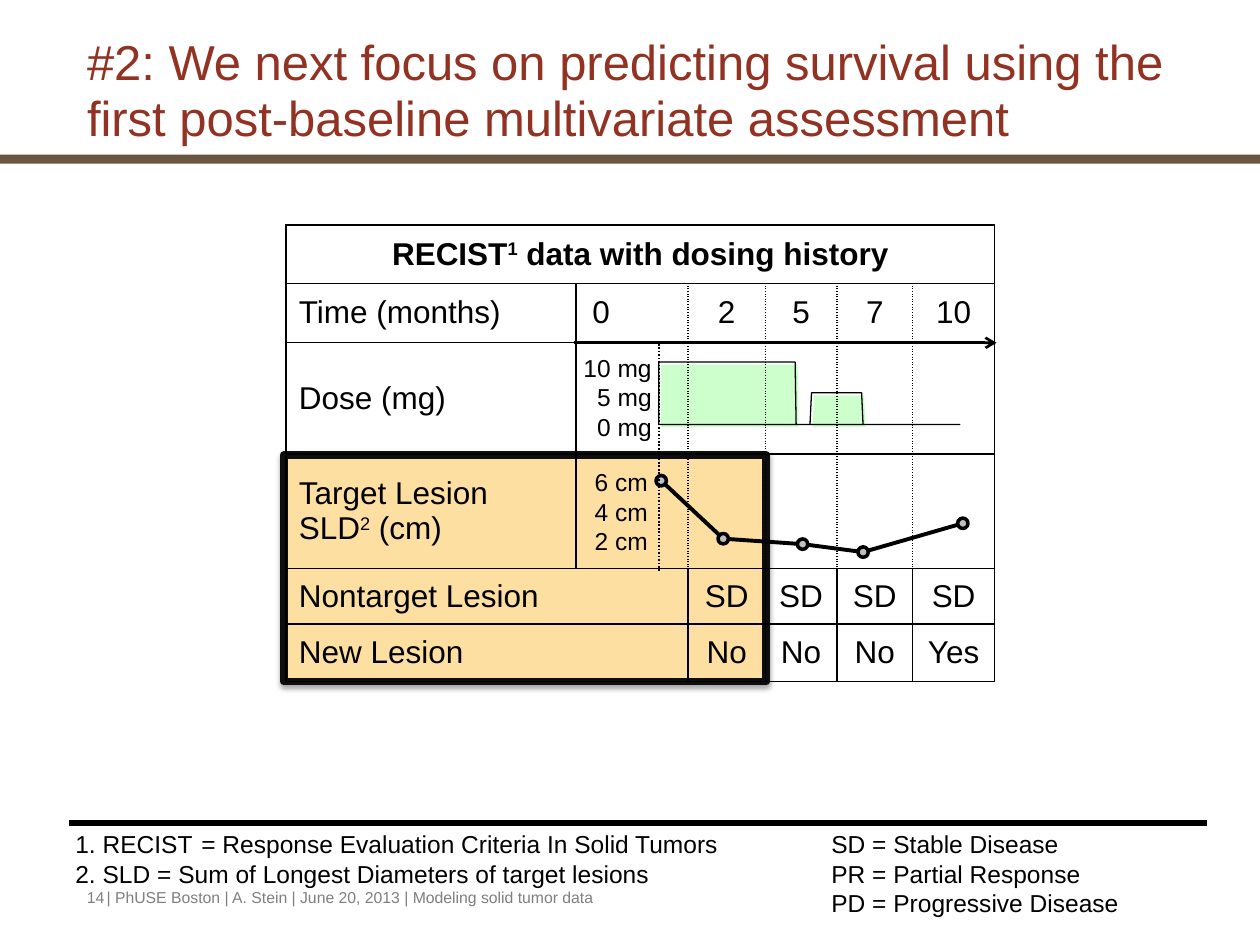
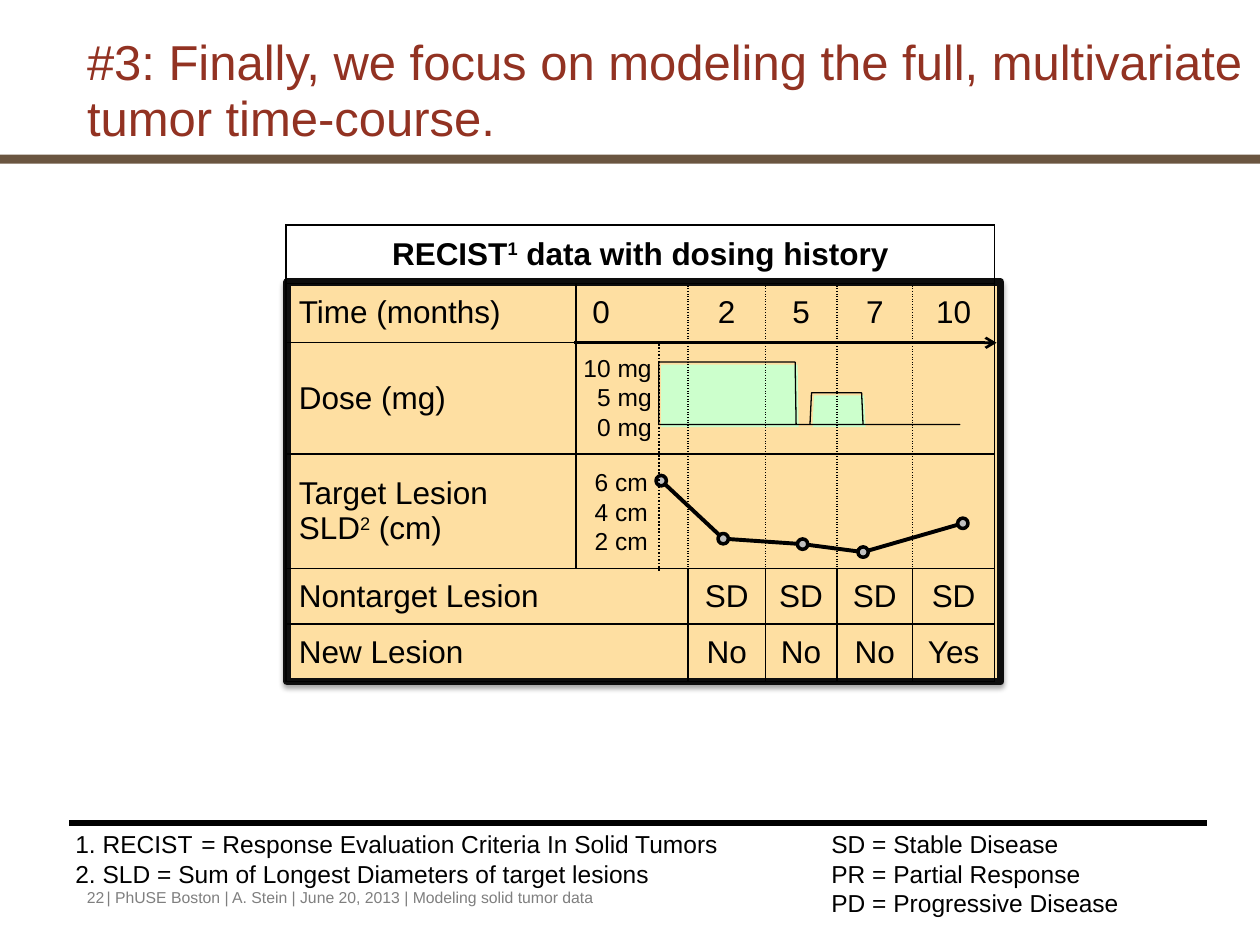
from lxml import etree
from pptx import Presentation
from pptx import util as u
from pptx.dml.color import RGBColor
from pptx.enum import dml, shapes, text
from pptx.oxml.ns import qn

FONT = "Arial"
COLORS = {
    "title": "923222", "band": "6A5540", "highlight": "FEDFA2", "frame": "0D0D0D",
    "dose": "CCFFCC", "marker": "BFBFBF", "footer": "7F7F7F", "black": "000000",
}
TITLE_ONLY = 5
FOOTER = "| PhUSE Boston | A. Stein | June 20, 2013 | Modeling solid tumor data"
FOOTNOTES = (
    "1. RECIST\t= Response Evaluation Criteria In Solid Tumors\tSD = Stable Disease",
    "2. SLD = Sum of Longest Diameters of target lesions\tPR = Partial Response",
    "\t\tPD = Progressive Disease",
)
FOOTNOTE_TABS = (2.54, 15.24)

TABLE_LEFT, TABLE_TOP = 5.77, 4.54
COLUMN_WIDTHS = (5.84, 2.26, 1.56, 1.44, 1.53, 1.65)
ROW_HEIGHTS = (1.18, 1.18, 2.25, 2.31, 1.12, 1.16)
# Every second part of a tuple is superscript.
TABLE_ROWS = (
    (("RECIST", "1", " data with dosing history"),),
    ("Time (months)", "0", "2", "5", "7", "10"),
    ("Dose (mg)",),
    (("Target Lesion SLD", "2", " (cm)"),),
    ("Nontarget Lesion", "", "SD", "SD", "SD", "SD"),
    ("New Lesion", "", "No", "No", "No", "Yes"),
)
CHART_ROWS = (1, 2, 3)

AXIS_X = 13.28
DOSE_TOP, DOSE_HALF, DOSE_BASE = 7.3, 7.92, 8.56
DOSE_STEPS = (
    (AXIS_X, DOSE_TOP), (16.03, DOSE_TOP), (16.05, DOSE_BASE), (16.33, DOSE_BASE),
    (16.36, DOSE_HALF), (17.37, DOSE_HALF), (17.4, DOSE_BASE), (19.35, DOSE_BASE),
    (AXIS_X, DOSE_BASE), (AXIS_X, DOSE_TOP),
)
LESION_SIZES = ((13.33, 9.69), (14.58, 10.86), (16.18, 10.97), (17.4, 11.13), (19.41, 10.55))
MARKER_SIZE = 0.21

SLIDES = (
    ("#2: We next focus on predicting survival using the first post-baseline "
     "multivariate assessment", "14", (5.72, 9.17, 9.73, 4.57)),
    ("#3: Finally, we focus on modeling the full, multivariate tumor time-course.",
     "22", (5.79, 5.69, 14.38, 8.05)),
)


def rgb(name):
    return RGBColor.from_string(COLORS[name])


def cm(*lengths):
    return [u.Cm(length) for length in lengths]


def style_font(paragraph, size, color="black", bold=False):
    font = paragraph.font
    font.name, font.size, font.bold = FONT, u.Pt(size), bold
    font.color.rgb = rgb(color)


def style_shape(shape, fill=None, line=None, width=0):
    shape.shadow.inherit = False
    if fill:
        shape.fill.solid()
        shape.fill.fore_color.rgb = rgb(fill)
    else:
        shape.fill.background()
    if line:
        shape.line.color.rgb = rgb(line)
        shape.line.width = u.Pt(width)
    else:
        shape.line.fill.background()


def add_preset(slide, kind, box, **style):
    shape = slide.shapes.add_shape(kind, *cm(*box))
    style_shape(shape, **style)
    return shape


def add_outline(slide, points, offset=0, **style):
    corners = [cm(x + offset, y + offset) for x, y in points]
    builder = slide.shapes.build_freeform(*corners[0])
    builder.add_line_segments(corners[1:], close=False)
    style_shape(builder.convert_to_shape(), **style)


def add_line(slide, start, end, width, dotted=False, arrow=False):
    connector = slide.shapes.add_connector(
        shapes.MSO_CONNECTOR.STRAIGHT, *cm(*start, *end))
    connector.line.color.rgb = rgb("black")
    connector.line.width = u.Pt(width)
    if dotted:
        connector.line.dash_style = dml.MSO_LINE.ROUND_DOT
    properties = connector._element.spPr
    if arrow:
        etree.SubElement(properties.find(qn("a:ln")), qn("a:tailEnd"), type="arrow")
    etree.SubElement(properties, qn("a:effectLst"))


def add_text(slide, box, lines, size, color="black", align=None, wrap=True, tabs=()):
    frame = slide.shapes.add_textbox(*cm(*box)).text_frame
    frame.word_wrap = wrap
    for index, line in enumerate(lines):
        paragraph = frame.paragraphs[0] if index == 0 else frame.add_paragraph()
        paragraph.text = line
        paragraph.alignment = align
        if tabs:
            tab_list = etree.SubElement(paragraph._p.get_or_add_pPr(), qn("a:tabLst"))
            for position in cm(*tabs):
                etree.SubElement(tab_list, qn("a:tab"), pos=str(position), algn="l")
        style_font(paragraph, size, color)


def add_title(slide, title):
    shape = slide.shapes.title
    shape.left, shape.top, shape.width, shape.height = cm(1.5, 1.7, 23.9, 1.4)
    frame = shape.text_frame
    frame.text = title
    frame.word_wrap = True
    frame.auto_size = text.MSO_AUTO_SIZE.NONE
    frame.vertical_anchor = text.MSO_ANCHOR.BOTTOM
    paragraph = frame.paragraphs[0]
    paragraph.alignment = text.PP_ALIGN.LEFT
    paragraph.line_spacing = 0.95
    style_font(paragraph, 28, "title")


def add_highlight(slide, box):
    shape = add_preset(slide, shapes.MSO_SHAPE.RECTANGLE, box,
                       fill="highlight", line="frame", width=4.5)
    effects = shape._element.spPr.find(qn("a:effectLst"))
    shadow = etree.SubElement(effects, qn("a:outerShdw"), blurRad=str(u.Pt(3.1)),
                              dist=str(u.Pt(1.8)), dir="5400000", rotWithShape="0")
    color = etree.SubElement(shadow, qn("a:srgbClr"), val=COLORS["black"])
    etree.SubElement(color, qn("a:alpha"), val="35000")


def set_borders(cell, dotted_sides):
    properties = cell._tc.get_or_add_tcPr()
    for side in "LRTB":
        line = etree.SubElement(properties, qn(f"a:ln{side}"), w=str(u.Pt(1)))
        fill = etree.SubElement(line, qn("a:solidFill"))
        etree.SubElement(fill, qn("a:srgbClr"), val=COLORS["black"])
        dash = "sysDot" if side in dotted_sides else "solid"
        etree.SubElement(line, qn("a:prstDash"), val=dash)


def fill_cell(cell, content, align, bold):
    paragraph = cell.text_frame.paragraphs[0]
    parts = (content,) if isinstance(content, str) else content
    for index, part in enumerate(parts):
        run = paragraph.add_run()
        run.text = part
        if index % 2:
            run._r.get_or_add_rPr().set("baseline", "30000")
    paragraph.alignment = align
    style_font(paragraph, 18, bold=bold)
    cell.vertical_anchor = text.MSO_ANCHOR.MIDDLE


def add_recist_table(slide):
    last = len(COLUMN_WIDTHS) - 1
    frame = slide.shapes.add_table(
        len(ROW_HEIGHTS), len(COLUMN_WIDTHS),
        *cm(TABLE_LEFT, TABLE_TOP, sum(COLUMN_WIDTHS), sum(ROW_HEIGHTS)))
    table = frame.table
    table.first_row = table.horz_banding = False
    for column, width in zip(table.columns, cm(*COLUMN_WIDTHS)):
        column.width = width
    for row, height in zip(table.rows, cm(*ROW_HEIGHTS)):
        row.height = height
    for row in range(len(ROW_HEIGHTS)):
        for column in range(last + 1):
            cell = table.cell(row, column)
            dotted = ""
            if row in CHART_ROWS:
                dotted = ("L" if column > 1 else "") + ("R" if 0 < column < last else "")
            set_borders(cell, dotted)
            cell.fill.background()
    table.cell(0, 0).merge(table.cell(0, last))
    for row in (4, 5):
        table.cell(row, 0).merge(table.cell(row, 1))
    for row, contents in enumerate(TABLE_ROWS):
        for column, content in enumerate(contents):
            if content:
                centred = row == 0 or column > 1
                align = text.PP_ALIGN.CENTER if centred else text.PP_ALIGN.LEFT
                fill_cell(table.cell(row, column), content, align, bold=row == 0)
    table.cell(1, 1).margin_left = u.Cm(0.33)


def add_dose_history(slide):
    add_text(slide, (11.51, 6.99, 1.88, 2.06), ("10 mg", "5 mg", "0 mg"), 14,
             align=text.PP_ALIGN.RIGHT, wrap=False)
    add_outline(slide, DOSE_STEPS, offset=0.05, fill="dose")
    add_outline(slide, DOSE_STEPS, line="black")


def add_lesion_curve(slide):
    add_text(slide, (11.71, 9.3, 1.6, 2.06), ("6 cm", "4 cm", "2 cm"), 14,
             align=text.PP_ALIGN.RIGHT, wrap=False)
    add_outline(slide, LESION_SIZES, line="black", width=2.25)
    for x, y in LESION_SIZES:
        box = (x - MARKER_SIZE / 2, y - MARKER_SIZE / 2, MARKER_SIZE, MARKER_SIZE)
        add_preset(slide, shapes.MSO_SHAPE.OVAL, box, fill="marker", line="black", width=2)


def add_footer(slide, number):
    add_line(slide, (1.4, 16.59), (24.33, 16.59), 3)
    add_text(slide, (1.27, 16.59, 22.28, 2.06), FOOTNOTES, 14, tabs=FOOTNOTE_TABS)
    add_text(slide, (1.5, 17.78, 1.12, 0.69), (number,), 9, "footer")
    add_text(slide, (1.9, 17.78, 17.98, 0.69), (FOOTER,), 9, "footer")


def add_recist_slide(presentation, title, number, highlight):
    slide = presentation.slides.add_slide(presentation.slide_layouts[TITLE_ONLY])
    add_preset(slide, shapes.MSO_SHAPE.RECTANGLE, (0, 3.12, 25.4, 0.18), fill="band")
    add_highlight(slide, highlight)
    add_title(slide, title)
    add_dose_history(slide)
    add_lesion_curve(slide)
    add_line(slide, (AXIS_X, 6.93), (AXIS_X, 11.51), 1, dotted=True)
    add_line(slide, (11.58, 6.91), (20.09, 6.91), 1.5, arrow=True)
    add_footer(slide, number)
    add_recist_table(slide)


def main():
    presentation = Presentation()
    presentation.slide_width, presentation.slide_height = cm(25.4, 19.05)
    for title, number, highlight in SLIDES:
        add_recist_slide(presentation, title, number, highlight)
    presentation.save("out.pptx")


if __name__ == "__main__":
    main()
